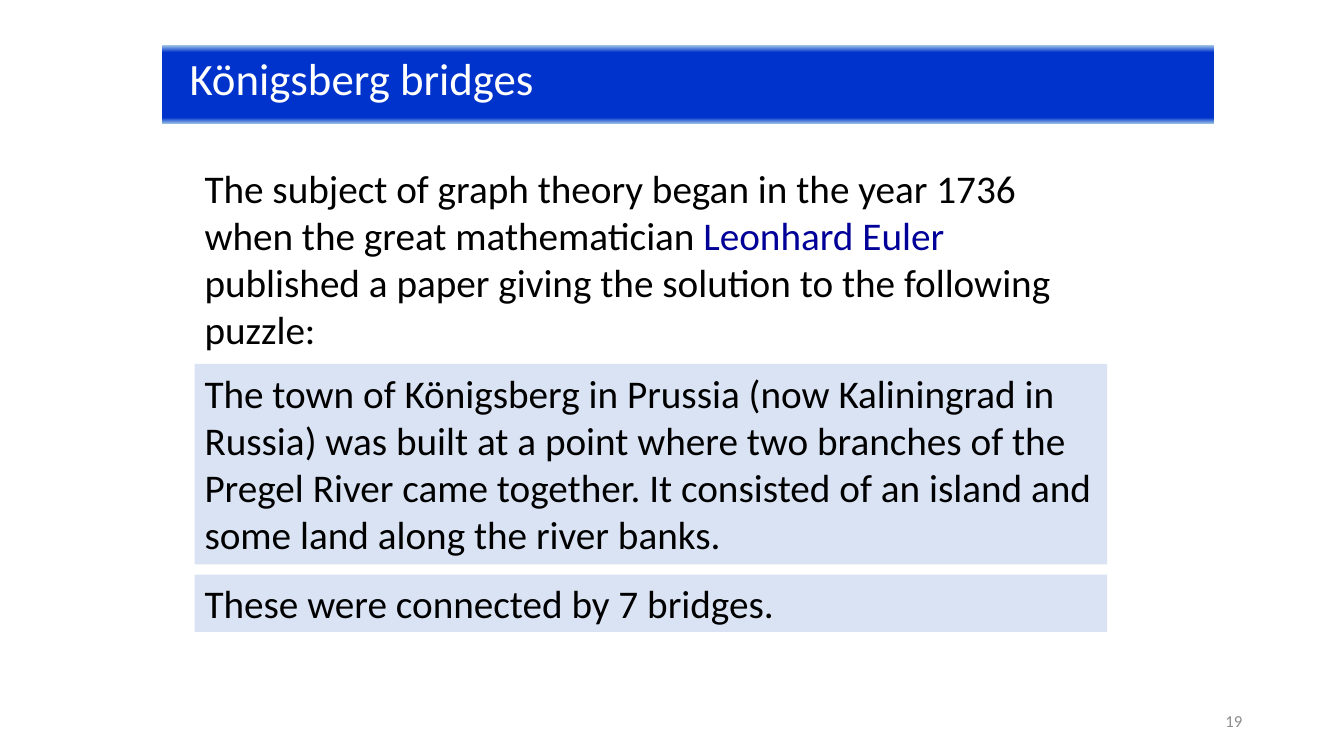
from copy import deepcopy
from dataclasses import dataclass

from pptx import Presentation
from pptx.dml.color import RGBColor
from pptx.enum import shapes, text
from pptx.oxml.ns import qn
from pptx.util import Inches, Pt


@dataclass(frozen=True)
class Theme:
    font: str = "Calibri"
    heading_size: int = 32
    body_size: int = 28
    number_size: int = 12
    ink: str = "000000"
    name: str = "000099"
    light: str = "FFFFFF"
    muted: str = "8C8C8C"
    panel: str = "DAE3F3"
    bar: tuple = ((0, "9DC3E6"), (0.09, "0033CC"), (0.92, "0033CC"), (1, "9DC3E6"))


THEME = Theme()
HEADING = "Königsberg bridges"
PAGE = "19"
STORY = [
    {
        "runs": [
            ("The subject of graph theory began in the year 1736 when the great mathematician ", THEME.ink),
            ("Leonhard Euler ", THEME.name),
            ("published a paper giving the solution to the following puzzle:", THEME.ink),
        ],
        "top": 1.58, "height": 1.99, "fill": None,
    },
    {
        "runs": [
            ("The town of Königsberg in Prussia (now Kaliningrad in Russia) was built at a point "
             "where two branches of the Pregel River came together. It consisted of an island "
             "and some land along the river banks.", THEME.ink),
        ],
        "top": 3.61, "height": 1.99, "fill": THEME.panel,
    },
    {
        "runs": [("These were connected by 7 bridges.", THEME.ink)],
        "top": 5.7, "height": 0.57, "fill": THEME.panel,
    },
]
STORY_LEFT, STORY_WIDTH = 1.93, 9.05


def write(shape, runs, size=THEME.body_size, align=text.PP_ALIGN.LEFT,
          anchor=text.MSO_ANCHOR.TOP, inset=0.1):
    frame = shape.text_frame
    frame.word_wrap = True
    frame.auto_size = text.MSO_AUTO_SIZE.NONE
    frame.vertical_anchor = anchor
    frame.margin_left = Inches(inset)
    paragraph = frame.paragraphs[0]
    paragraph.alignment = align
    for words, color in runs:
        run = paragraph.add_run()
        run.text = words
        run.font.name = THEME.font
        run.font.size = Pt(size)
        run.font.color.rgb = RGBColor.from_string(color)


def fill_bar(shape, stops):
    shape.fill.gradient()
    shape.fill.gradient_angle = 270
    stop_list = shape.fill._xPr.find(qn("a:gradFill")).find(qn("a:gsLst"))
    while len(stop_list) < len(stops):
        stop_list.append(deepcopy(stop_list[0]))
    for stop, (position, color) in zip(shape.fill.gradient_stops, stops):
        stop.position = position
        stop.color.rgb = RGBColor.from_string(color)


def main():
    deck = Presentation()
    deck.slide_width, deck.slide_height = Inches(13.33), Inches(7.5)
    slide = deck.slides.add_slide(deck.slide_layouts[5])

    heading = slide.shapes.title
    heading.left, heading.top = Inches(1.61), Inches(0.45)
    heading.width, heading.height = Inches(10.43), Inches(0.78)
    fill_bar(heading, THEME.bar)
    write(heading, [(HEADING, THEME.light)], size=THEME.heading_size, inset=0.27)

    for passage in STORY:
        place = [Inches(v) for v in (STORY_LEFT, passage["top"], STORY_WIDTH, passage["height"])]
        if passage["fill"]:
            panel = slide.shapes.add_shape(shapes.MSO_SHAPE.RECTANGLE, *place)
            panel.shadow.inherit = False
            panel.fill.solid()
            panel.fill.fore_color.rgb = RGBColor.from_string(passage["fill"])
            panel.line.fill.background()
        else:
            panel = slide.shapes.add_textbox(*place)
        write(panel, passage["runs"])

    page = slide.shapes.add_textbox(Inches(9.42), Inches(6.95), Inches(3), Inches(0.4))
    write(page, [(PAGE, THEME.muted)], size=THEME.number_size,
          align=text.PP_ALIGN.RIGHT, anchor=text.MSO_ANCHOR.MIDDLE)

    deck.save("out.pptx")


if __name__ == "__main__":
    main()
